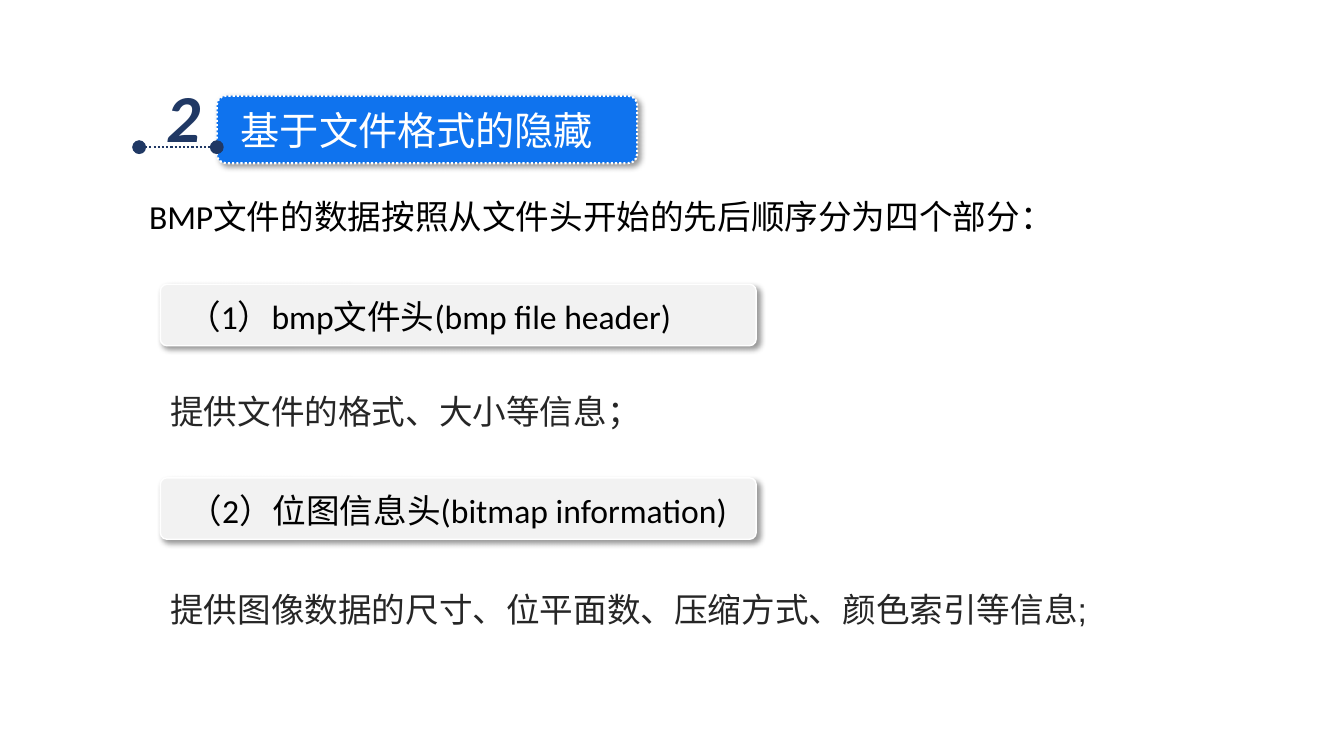
from dataclasses import dataclass

from lxml import etree
from pptx import Presentation
from pptx.dml.color import RGBColor
from pptx.enum.dml import MSO_LINE
from pptx.enum.shapes import MSO_CONNECTOR, MSO_SHAPE
from pptx.enum.text import MSO_AUTO_SIZE
from pptx.oxml.ns import qn
from pptx.slide import Slide
from pptx.util import Inches, Pt

ROUND = MSO_SHAPE.ROUNDED_RECTANGLE
STRAIGHT = MSO_CONNECTOR.STRAIGHT
DOTS = MSO_LINE.ROUND_DOT  # written as sysDot
GROW = MSO_AUTO_SIZE.SHAPE_TO_FIT_TEXT

NAVY, BLUE, WHITE = "203864", "0F73EE", "FFFFFF"
BLACK, GRAY, PALE = "000000", "262626", "F2F2F2"
HAN, LATIN, SANS = "Noto Sans CJK SC", "Calibri", "Arial"

Box = tuple[float, float, float, float]
Run = tuple[str, str]  # text, font


@dataclass
class Part:
    top: float
    head: list[Run]
    left: float
    width: float
    note: str
    note_top: float
    note_width: float


PARTS = [
    Part(2.82, [("（1）bmp", LATIN), ("文件头", SANS), ("(bmp file header)", LATIN)],
         1.76, 5.86, "提供文件的格式、大小等信息；", 3.83, 4.91),
    Part(4.74, [("（2）位图信息头(bitmap information)", LATIN)],
         1.77, 6.02, "提供图像数据的尺寸、位平面数、压缩方式、颜色索引等信息;", 5.79, 9.46),
]


def color(code: str) -> RGBColor:
    return RGBColor.from_string(code)


def add_text(slide: Slide, box: Box, runs: list[Run], *, size: float = 24,
             fill: str = BLACK, bold: bool = False, italic: bool = False,
             wrap: bool = True) -> None:
    frame = slide.shapes.add_textbox(*map(Inches, box)).text_frame
    frame.word_wrap = wrap
    frame.auto_size = GROW
    for text, face in runs:
        run = frame.paragraphs[0].add_run()
        run.text = text
        font = run.font
        font.name, font.size = face, Pt(size)
        font.bold, font.italic = bold, italic
        font.color.rgb = color(fill)
        # East Asian font follows the latin one
        east = etree.Element(qn("a:ea"), typeface=HAN)
        run._r.get_or_add_rPr().find(qn("a:latin")).addnext(east)


def add_panel(slide: Slide, box: Box, *, fill: str, round: float,
              line: float, dash: MSO_LINE | None = None) -> None:
    panel = slide.shapes.add_shape(ROUND, *map(Inches, box))
    panel.adjustments[0] = round
    panel.fill.solid()
    panel.fill.fore_color.rgb = color(fill)
    panel.line.color.rgb = color(WHITE)
    panel.line.width = Pt(line)
    if dash is not None:
        panel.line.dash_style = dash
    # Soft shadow to the lower right
    panel.shadow.inherit = False
    effects = panel._element.spPr.find(qn("a:effectLst"))
    shade = etree.SubElement(effects, qn("a:outerShdw"), blurRad=str(Pt(4)),
                             dist=str(Pt(3)), dir=str(45 * 60000),
                             algn="tl", rotWithShape="0")
    tint = etree.SubElement(shade, qn("a:srgbClr"), val=BLACK)
    etree.SubElement(tint, qn("a:alpha"), val="40000")


def add_link(slide: Slide, left: float, right: float, top: float) -> None:
    link = slide.shapes.add_connector(
        STRAIGHT, Inches(left), Inches(top), Inches(right), Inches(top))
    link.line.color.rgb = color(NAVY)
    link.line.width = Pt(1.5)
    link.line.dash_style = DOTS
    line = link.line._get_or_add_ln()
    for end in ("a:headEnd", "a:tailEnd"):
        etree.SubElement(line, qn(end), type="oval", w="lg", len="lg")
    etree.SubElement(link._element.spPr, qn("a:effectLst"))


def main() -> None:
    deck = Presentation()
    deck.slide_width, deck.slide_height = Inches(13.33), Inches(7.5)
    slide = deck.slides.add_slide(deck.slide_layouts[6])

    # Numbered title
    add_panel(slide, (2.15, 0.95, 4.17, 0.67), fill=BLUE, round=0.137,
              line=1.5, dash=DOTS)
    add_text(slide, (2.29, 1.01, 3.74, 0.57), [("基于文件格式的隐藏", HAN)],
             size=28, fill=WHITE, wrap=False)
    add_text(slide, (1.55, 0.7, 0.54, 0.91), [("2", LATIN)], size=48,
             fill=NAVY, bold=True, italic=True, wrap=False)
    add_link(slide, 1.38, 2.15, 1.46)

    # Lead sentence
    add_text(slide, (1.38, 1.89, 10.46, 0.5),
             [("BMP文件的数据按照从文件头开始的先后顺序分为四个部分：", LATIN)])

    # Parts of the file, each with its note
    for part in PARTS:
        add_panel(slide, (1.59, part.top, 5.91, 0.61), fill=PALE,
                  round=0.108, line=1)
        add_text(slide, (part.left, part.top + 0.07, part.width, 0.5), part.head)
        add_text(slide, (1.59, part.note_top, part.note_width, 0.5),
                 [(part.note, SANS)], fill=GRAY, wrap=False)

    deck.save("out.pptx")


if __name__ == "__main__":
    main()
